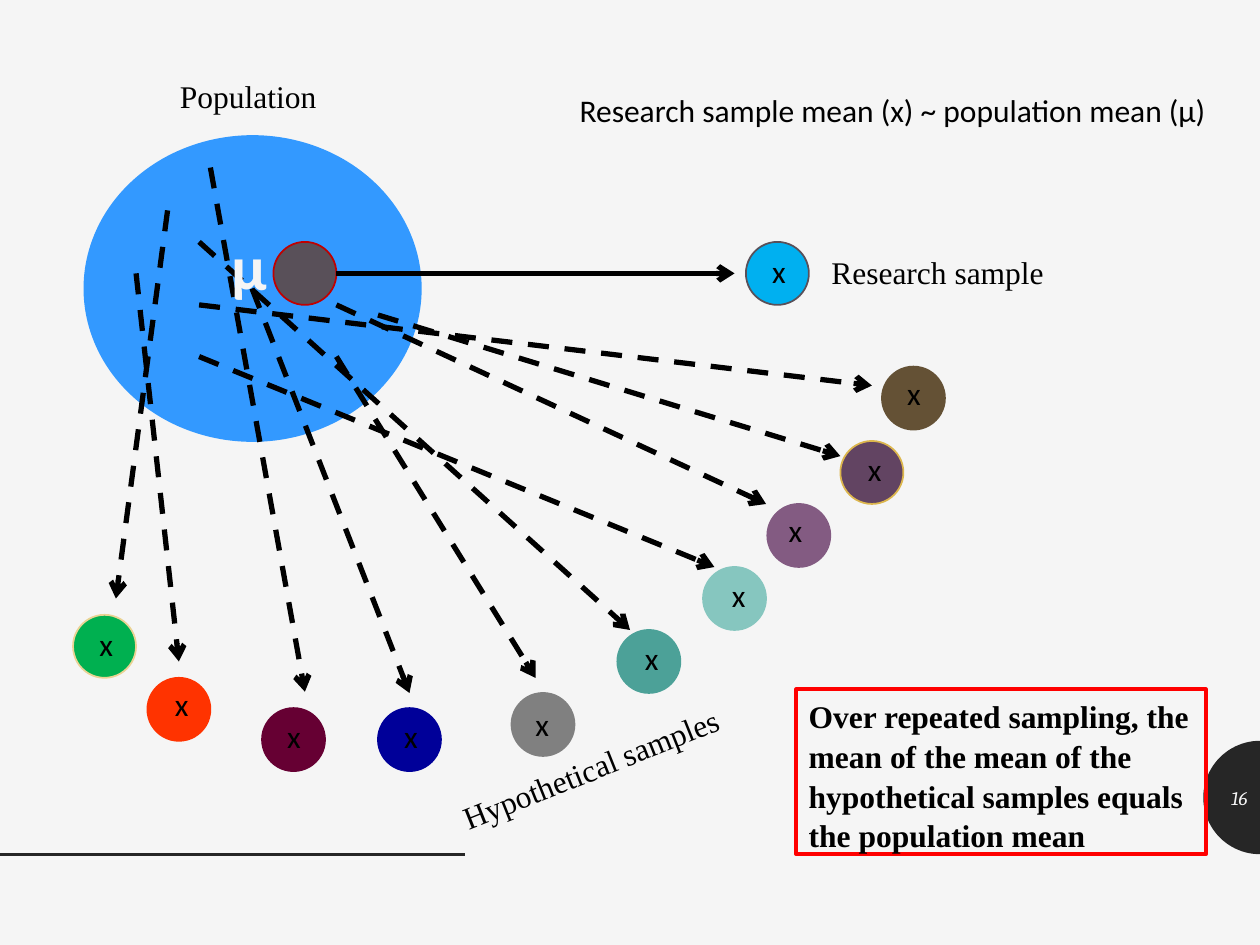
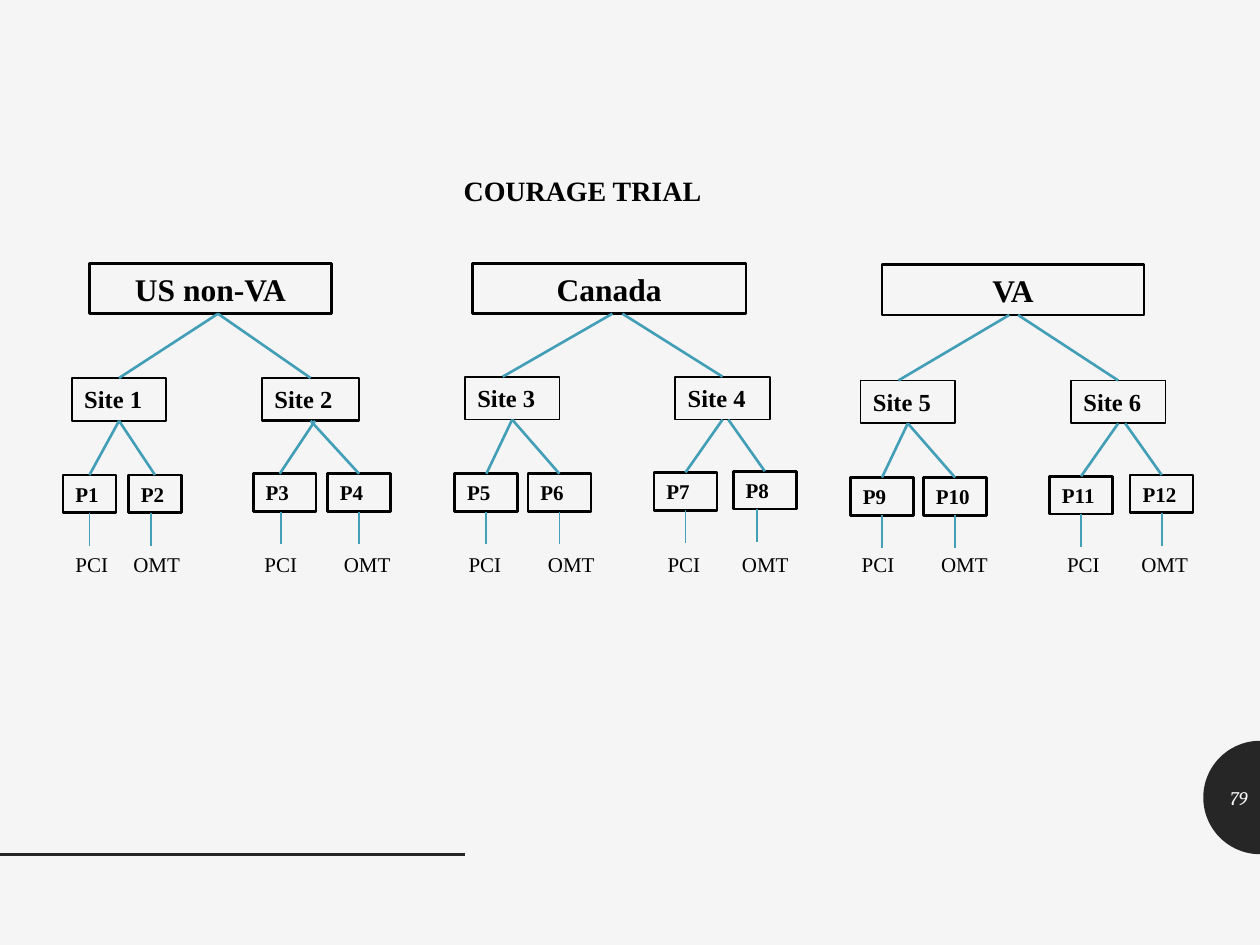
import math
from dataclasses import dataclass
from typing import Any, NamedTuple, Optional

import lxml.etree
import pptx
import pptx.dml.color
import pptx.enum.dml
import pptx.enum.shapes
import pptx.enum.text
import pptx.oxml.ns
import pptx.shapes.autoshape
import pptx.shapes.base
import pptx.shapes.connector
import pptx.slide
import pptx.util

EMU_PER_PX = 9144  # 100 px to the inch
SLIDE_WIDTH, SLIDE_HEIGHT = 1000, 750
PAPER, INK, BLACK, BRANCH = "F5F5F5", "262626", "000000", "439EB7"
TIMES, CALIBRI, CAMBRIA = "Times New Roman", "Calibri", "Cambria"
RECT = pptx.enum.shapes.MSO_SHAPE.RECTANGLE
OVAL = pptx.enum.shapes.MSO_SHAPE.OVAL
ALIGN = pptx.enum.text.PP_ALIGN
ANCHOR = pptx.enum.text.MSO_ANCHOR
GROW = pptx.enum.text.MSO_AUTO_SIZE.SHAPE_TO_FIT_TEXT
DIAMETER = 50
REGION_HEIGHT, SITE_HEIGHT, PATIENT_HEIGHT, DROP = 40, 34, 30, 26
JOIN_TOLERANCE = 2


class Box(NamedTuple):
    left: int
    top: int
    width: int
    height: int


class Style(NamedTuple):
    size: int
    font: str = TIMES
    color: str = BLACK
    bold: bool = False
    italic: bool = False


class Arrow(NamedTuple):
    x1: int
    y1: int
    x2: int
    y2: int


@dataclass
class Sample:
    left: int
    top: int
    fill: str
    outline: str
    mark_left: int
    mark_top: int
    arrow: Arrow
    dashed: bool = True


@dataclass
class Patient:
    name: str
    left: int
    top: int
    width: int
    link_from: int
    link_to: int
    drop: int
    label: int


@dataclass
class Site:
    name: str
    left: int
    top: int
    width: int
    outline: float
    link_from: int
    link_to: int
    patients: list[Patient]


@dataclass
class Region:
    name: str
    left: int
    top: int
    width: int
    sites: list[Site]


BODY = Style(18)
MARK = Style(18, CALIBRI)

SAMPLES = [
    Sample(592, 192, "00B0F0", "595059", 603, 195, Arrow(267, 217, 583, 217), False),
    Sample(700, 291, "645135", "645135", 710, 292, Arrow(158, 242, 692, 306)),
    Sample(667, 350, "624462", "DCB64D", 679, 352, Arrow(300, 250, 667, 362)),
    Sample(609, 400, "835B82", "835B82", 616, 401, Arrow(267, 242, 608, 400)),
    Sample(558, 450, "86C6BF", "86C6BF", 571, 452, Arrow(158, 283, 567, 450)),
    Sample(490, 500, "4CA198", "4CA198", 502, 502, Arrow(158, 192, 500, 500)),
    Sample(406, 550, "808080", "808080", 415, 555, Arrow(267, 283, 425, 538)),
    Sample(300, 562, "000099", "000099", 311, 564, Arrow(200, 229, 325, 550)),
    Sample(208, 562, "660033", "660033", 218, 564, Arrow(167, 133, 242, 549)),
    Sample(117, 538, "FF3300", "FF3300", 129, 539, Arrow(108, 217, 142, 525)),
    Sample(58, 488, "00B050", "EAD394", 69, 491, Arrow(133, 167, 92, 475)),
]

REGIONS = [
    Region("US non-VA", 71, 209, 192, [
        Site("Site 1", 57, 300, 75, 1, 173, 94, [
            Patient("P1", 50, 377, 42, 94, 70, 70, 60),
            Patient("P2", 102, 377, 42, 94, 123, 120, 106)]),
        Site("Site 2", 208, 300, 77, 1.5, 173, 247, [
            Patient("P3", 201, 376, 50, 250, 222, 223, 210),
            Patient("P4", 260, 376, 50, 247, 285, 285, 273)])]),
    Region("Canada", 375, 209, 217, [
        Site("Site 3", 369, 299, 75, 1, 486, 399, [
            Patient("P5", 361, 376, 50, 406, 385, 385, 372),
            Patient("P6", 419, 376, 50, 406, 444, 444, 435)]),
        Site("Site 4", 536, 299, 75, 1, 494, 573, [
            Patient("P7", 519, 375, 50, 573, 544, 544, 530),
            Patient("P8", 582, 374, 50, 578, 607, 601, 589)])]),
    Region("VA", 700, 210, 208, [
        Site("Site 5", 683, 302, 75, 1, 801, 713, [
            Patient("P9", 675, 379, 50, 721, 700, 700, 684),
            Patient("P10", 733, 379, 50, 721, 758, 758, 747)]),
        Site("Site 6", 850, 302, 75, 1, 808, 888, [
            Patient("P11", 833, 378, 50, 888, 858, 859, 847),
            Patient("P12", 897, 377, 50, 893, 922, 922, 906)])]),
]


def px(length: float) -> int:
    return round(length * EMU_PER_PX)


def rgb(color: str) -> pptx.dml.color.RGBColor:
    return pptx.dml.color.RGBColor.from_string(color)


def set_values(target: Any, values: dict[str, Any]) -> None:
    for name, value in values.items():
        setattr(target, name, value)


def place(box: Box) -> dict[str, int]:
    return {side: px(length) for side, length in box._asdict().items()}


def write(shape: pptx.shapes.base.BaseShape, text: str, style: Style, **frame_values: Any) -> Any:
    """Put one formatted paragraph into a shape and return the paragraph."""
    align = frame_values.pop("align", ALIGN.LEFT)
    frame = shape.text_frame
    set_values(frame, {"word_wrap": True, "auto_size": GROW,
                       "vertical_anchor": ANCHOR.TOP} | frame_values)
    paragraph = frame.paragraphs[0]
    paragraph.alignment = align
    run = paragraph.add_run()
    run.text = text
    set_values(run.font, {"size": pptx.util.Pt(style.size), "name": style.font,
                          "bold": style.bold, "italic": style.italic})
    run.font.color.rgb = rgb(style.color)
    return paragraph


def add_text(slide: pptx.slide.Slide, box: Box, text: str, style: Style, **frame_values: Any) -> Any:
    label = slide.shapes.add_textbox(**place(box))
    write(label, text, style, **frame_values)
    return label


def add_shape(slide: pptx.slide.Slide, kind: Any, box: Box, fill: Optional[str],
              outline: str, weight: float = 1) -> pptx.shapes.autoshape.Shape:
    shape = slide.shapes.add_shape(kind, **place(box))
    shape.shadow.inherit = False
    if fill:
        shape.fill.solid()
        shape.fill.fore_color.rgb = rgb(fill)
    else:
        shape.fill.background()
    shape.line.color.rgb = rgb(outline)
    shape.line.width = pptx.util.Pt(weight)
    return shape


def add_frame(slide: pptx.slide.Slide, box: Box, text: str, style: Style,
              outline: str, weight: float, align: Any = ALIGN.LEFT) -> tuple[Any, Any]:
    """Add an unfilled, outlined text rectangle; return it and its paragraph."""
    frame = add_shape(slide, RECT, box, None, outline, weight)
    return frame, write(frame, text, style, align=align)


def add_line(slide: pptx.slide.Slide, ends: Arrow, color: str, weight: float,
             dashed: bool = False, head: bool = False) -> pptx.shapes.connector.Connector:
    line = slide.shapes.add_connector(
        pptx.enum.shapes.MSO_CONNECTOR.STRAIGHT, *(px(value) for value in ends))
    line.line.color.rgb = rgb(color)
    line.line.width = pptx.util.Pt(weight)
    if dashed:
        line.line.dash_style = pptx.enum.dml.MSO_LINE.DASH
    qn = pptx.oxml.ns.qn
    if head:
        lxml.etree.SubElement(line.get_or_add_ln(), qn("a:tailEnd"), type="arrow")
    lxml.etree.SubElement(line._element.spPr, qn("a:effectLst"))
    return line


def add_branch(slide: pptx.slide.Slide, parent: Any, x1: int, child: Any, x2: int) -> None:
    """Link a parent's bottom to a child's top, joined where an end meets the middle."""
    y1, y2 = (parent.top + parent.height) / EMU_PER_PX, child.top / EMU_PER_PX
    branch = add_line(slide, Arrow(x1, round(y1), x2, round(y2)), BRANCH, 1.5)
    if meets_middle(parent, x1):
        branch.begin_connect(parent, 2)
    if meets_middle(child, x2):
        branch.end_connect(child, 0)


def meets_middle(shape: Any, x: int) -> bool:
    return abs(shape.left + shape.width / 2 - px(x)) <= px(JOIN_TOLERANCE)


def add_slide(deck: Any, title: str, title_box: Box, title_style: Style,
              number: int) -> pptx.slide.Slide:
    """Add a slide with its title, the bottom rule and the number badge."""
    slide = deck.slides.add_slide(deck.slide_layouts[5])
    heading = slide.shapes.title
    set_values(heading, place(title_box))
    write(heading, title, title_style)

    radius, center_y, steps = 45, 633, 48
    arc = [(px(SLIDE_WIDTH - radius * math.sin(math.pi * step / steps)),
            px(center_y - radius * math.cos(math.pi * step / steps)))
           for step in range(steps + 1)]
    outline = slide.shapes.build_freeform(*arc[0])
    outline.add_line_segments(arc[1:], close=True)
    badge = outline.convert_to_shape()
    badge.shadow.inherit = False
    badge.fill.solid()
    badge.fill.fore_color.rgb = rgb(INK)
    badge.line.fill.background()

    add_line(slide, Arrow(0, 678, 369, 678), INK, 2)
    add_text(slide, Box(955, 613, 45, 40), str(number), Style(11, CAMBRIA, PAPER, italic=True),
             align=ALIGN.RIGHT, vertical_anchor=ANCHOR.MIDDLE,
             auto_size=pptx.enum.text.MSO_AUTO_SIZE.NONE)
    return slide


def build_sampling(deck: Any) -> None:
    slide = add_slide(deck, "Research sample mean (x) ~ population mean (μ)",
                      Box(450, 67, 533, 40), MARK, 16)
    add_shape(slide, OVAL, Box(67, 108, 267, 242), "3399FF", "3399FF")
    add_text(slide, Box(133, 56, 150, 40), "Population", BODY)
    add_shape(slide, OVAL, Box(217, 192, DIAMETER, DIAMETER), "595059", "C00000")
    for sample in SAMPLES:
        add_shape(slide, OVAL, Box(sample.left, sample.top, DIAMETER, DIAMETER),
                  sample.fill, sample.outline)
        add_line(slide, sample.arrow, BLACK, 3, sample.dashed, head=True)
        add_text(slide, Box(sample.mark_left, sample.mark_top, 42, 40), "x", MARK)
    add_text(slide, Box(174, 176, 42, 71), "μ", Style(36, CALIBRI, PAPER, bold=True))
    add_text(slide, Box(650, 196, 208, 40), "Research sample", BODY)
    hypothetical = add_text(slide, Box(348, 575, 317, 40), "Hypothetical samples", BODY)
    hypothetical.rotation = 338.2
    _, conclusion = add_frame(
        slide, Box(632, 547, 325, 131),
        "Over repeated sampling, the mean of the mean of the hypothetical samples "
        "equals the population mean", Style(18, bold=True), "FF0000", 2.25)
    conclusion.line_spacing = 1.05


def build_trial(deck: Any) -> None:
    slide = add_slide(deck, "COURAGE TRIAL", Box(358, 133, 231, 37), Style(16, bold=True), 79)
    label_stops: list[int] = []
    for region in REGIONS:
        region_frame, _ = add_frame(
            slide, Box(region.left, region.top, region.width, REGION_HEIGHT),
            region.name, Style(18, bold=True), BLACK, 1.5, ALIGN.CENTER)
        for site in region.sites:
            site_frame, _ = add_frame(
                slide, Box(site.left, site.top, site.width, SITE_HEIGHT),
                site.name, Style(14, bold=True), BLACK, site.outline)
            add_branch(slide, region_frame, site.link_from, site_frame, site.link_to)
            for patient in site.patients:
                patient_frame, _ = add_frame(
                    slide, Box(patient.left, patient.top, patient.width, PATIENT_HEIGHT),
                    patient.name, Style(12, bold=True), BLACK, 1.5)
                add_branch(slide, site_frame, patient.link_from, patient_frame, patient.link_to)
                bottom = patient.top + PATIENT_HEIGHT
                drop = add_line(slide, Arrow(patient.drop, bottom, patient.drop, bottom + DROP),
                                BRANCH, 1)
                if meets_middle(patient_frame, patient.drop):
                    drop.begin_connect(patient_frame, 2)
                    drop.end_x = drop.begin_x
                label_stops.append(patient.label)

    treatments = add_text(slide, Box(50, 433, 909, 30),
                          "\t".join(["PCI", "OMT"] * (len(label_stops) // 2)), Style(12))
    qn = pptx.oxml.ns.qn
    properties = treatments.text_frame.paragraphs[0]._p.get_or_add_pPr()
    tabs = lxml.etree.SubElement(properties, qn("a:tabLst"))
    for stop in label_stops[1:]:
        lxml.etree.SubElement(tabs, qn("a:tab"), pos=str(px(stop - label_stops[0])), algn="l")


def main() -> None:
    deck = pptx.Presentation()
    set_values(deck, {"slide_width": px(SLIDE_WIDTH), "slide_height": px(SLIDE_HEIGHT)})
    paper = deck.slide_master.background.fill
    paper.solid()
    paper.fore_color.rgb = rgb(PAPER)
    build_sampling(deck)
    build_trial(deck)
    deck.save("out.pptx")


if __name__ == "__main__":
    main()
